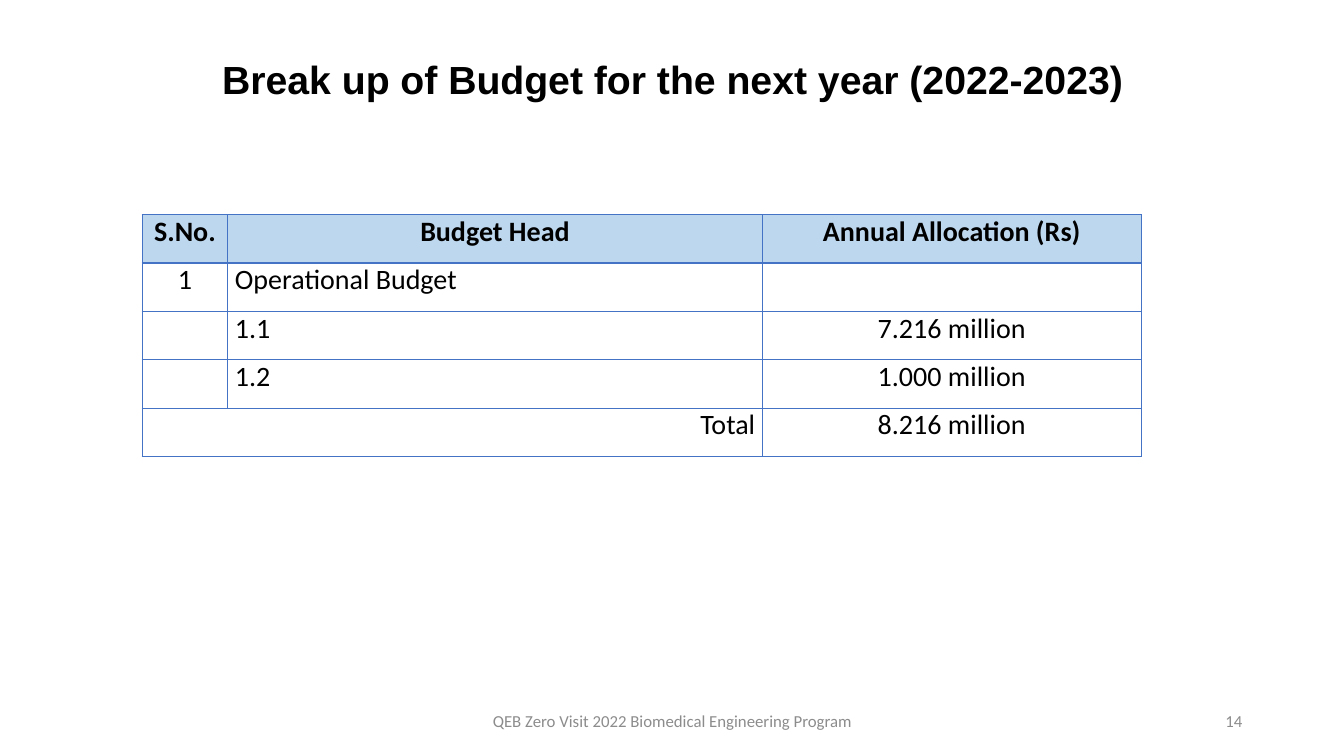
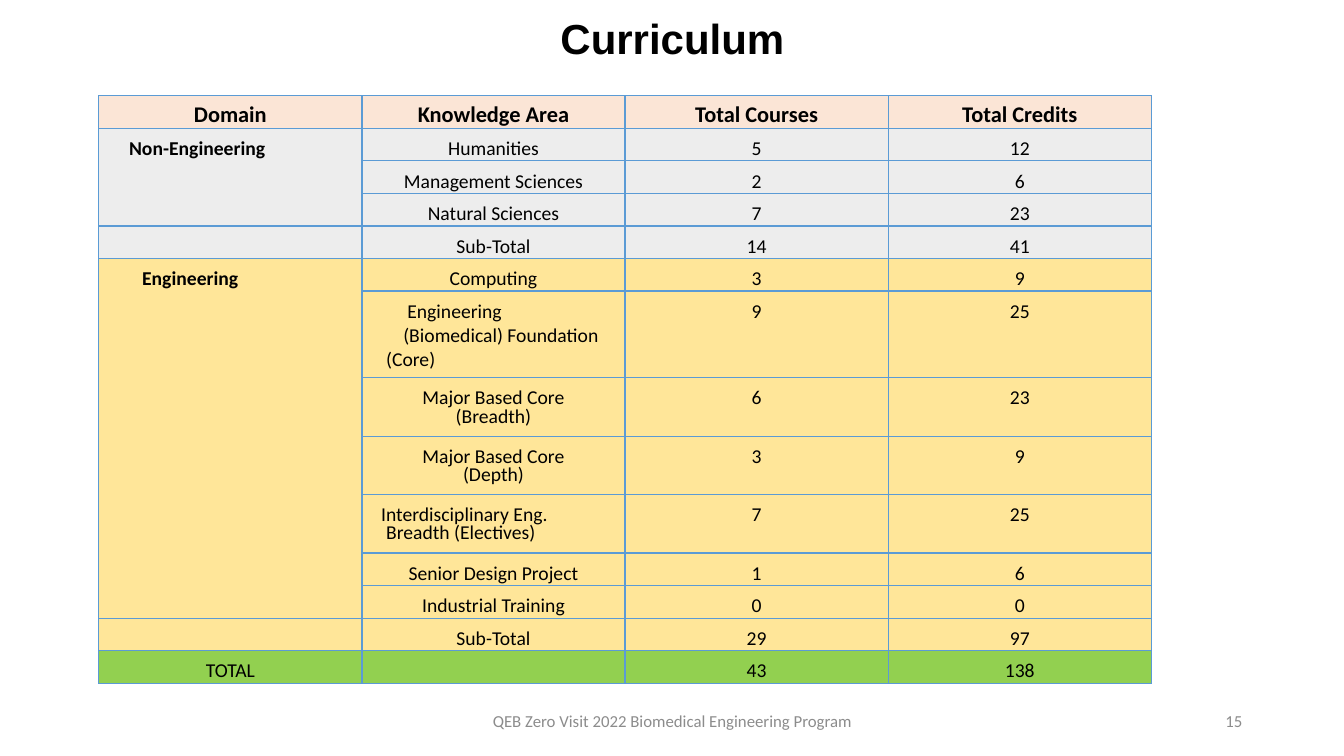
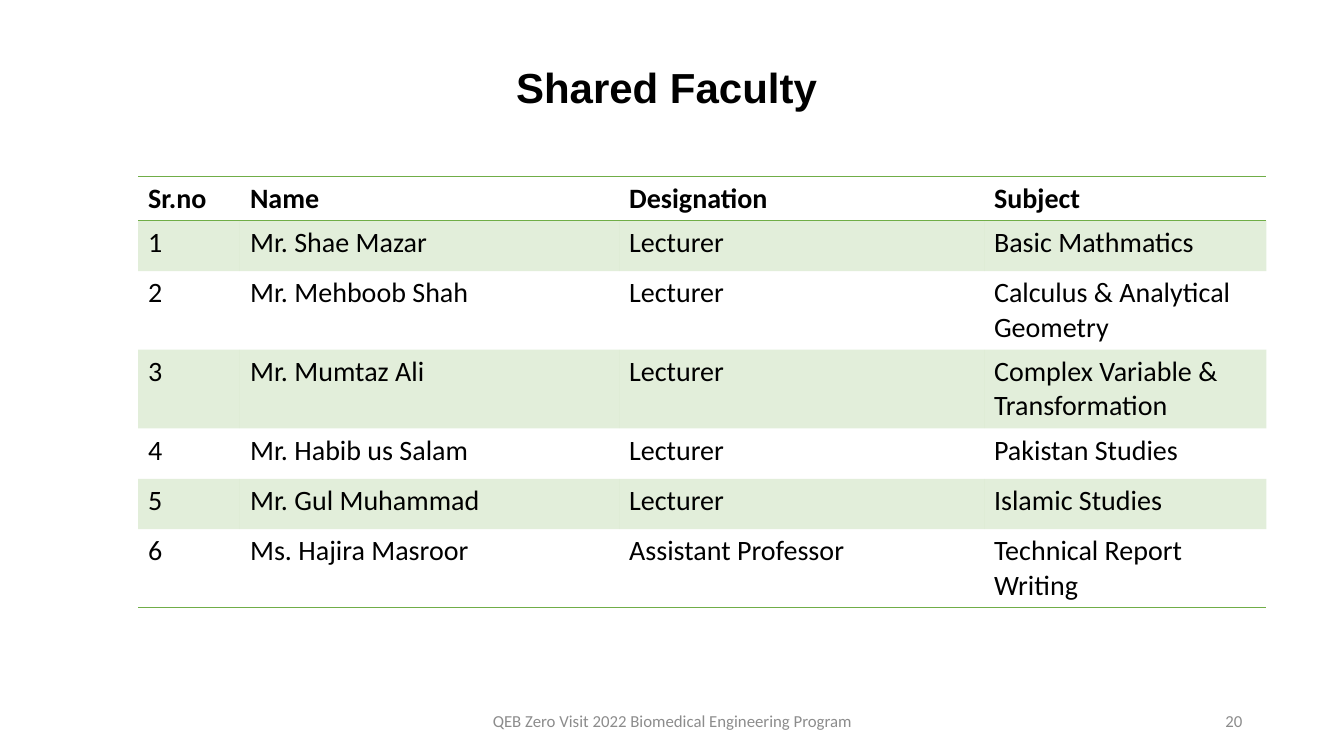
from lxml import etree
from pptx import Presentation
from pptx.dml.color import RGBColor
from pptx.enum.text import MSO_ANCHOR, PP_ALIGN
from pptx.oxml.ns import qn
from pptx.util import Inches, Pt

LEFT, MID, RIGHT = PP_ALIGN.LEFT, PP_ALIGN.CENTER, PP_ALIGN.RIGHT
CENTER = MSO_ANCHOR.MIDDLE
BLACK, GRAY = "000000", "8C8C8C"
BLUE, SKY, PALE = "4472C4", "5B9BD5", "BDD7EE"
PEACH, SILVER, GOLD, LIME = "FBE5D6", "EDEDED", "FFE699", "92D050"
GREEN = "70AD47"
LEAD = Pt(11.7)
FOOTER = "QEB Zero Visit 2022 Biomedical Engineering Program"


def paint(color):
    return RGBColor.from_string(color)


def write(frame, text, font="Calibri", size=20, color=BLACK, bold=False,
          align=LEFT, lead=None):
    for i, line in enumerate(text.split("\n")):
        par = frame.add_paragraph() if i else frame.paragraphs[0]
        par.alignment = align
        par.line_spacing = lead
        if line:
            run = par.add_run()
            run.text = line
            run.font.name = font
            run.font.size = Pt(size)
            run.font.bold = bold
            run.font.color.rgb = paint(color)


def shift(par, left, first=0):
    par.alignment = LEFT
    props = par._p.get_or_add_pPr()
    props.set("marL", str(Inches(left)))
    props.set("indent", str(Inches(first)))


def edge(cell, sides, color):
    props = cell._tc.get_or_add_tcPr()
    for side in "LRTB":
        line = etree.SubElement(props, qn(f"a:ln{side}"), w=str(Pt(1)))
        if side in sides:
            fill = etree.SubElement(line, qn("a:solidFill"))
            etree.SubElement(fill, qn("a:srgbClr"), val=color)
        else:
            etree.SubElement(line, qn("a:noFill"))


def flood(cell, color, alpha=100):
    if not color:
        cell.fill.background()
        return
    cell.fill.solid()
    cell.fill.fore_color.rgb = paint(color)
    if alpha < 100:
        tint = cell._tc.tcPr.find(qn("a:solidFill")).find(qn("a:srgbClr"))
        etree.SubElement(tint, qn("a:alpha"), val=str(alpha * 1000))


class Deck:
    def __init__(self):
        self.show = Presentation()
        self.show.slide_width = Inches(13.33)
        self.show.slide_height = Inches(7.5)

    def page(self, title, number, top, height, size=30):
        self.slide = self.show.slides.add_slide(self.show.slide_layouts[5])
        head = self.slide.shapes.title
        head.left, head.top = Inches(0.92), Inches(top)
        head.width, head.height = Inches(11.5), Inches(height)
        head.text_frame.vertical_anchor = CENTER
        write(head.text_frame, title, font="Arial", size=size, bold=True,
              align=MID, lead=0.9)
        self.note(9.42, 3, str(number), RIGHT)
        self.note(4.42, 4.5, FOOTER, MID)

    def note(self, left, width, text, align):
        box = self.slide.shapes.add_textbox(
            Inches(left), Inches(6.95), Inches(width), Inches(0.4))
        box.text_frame.word_wrap = True
        box.text_frame.vertical_anchor = CENTER
        write(box.text_frame, text, size=12, color=GRAY, align=align)

    def table(self, left, top, cols, highs, rows, fills, aligns, rule,
              grid=True, pads=(0.1, 0.05, 0.1, 0.05), sizes=(20, 20),
              lead=None, alpha=100):
        table = self.slide.shapes.add_table(
            len(rows), len(cols), Inches(left), Inches(top),
            Inches(sum(cols)), Inches(sum(highs))).table
        table.first_row = table.horz_banding = False
        for col, width in zip(table.columns, cols):
            col.width = Inches(width)
        for r, row in enumerate(rows):
            table.rows[r].height = Inches(highs[r])
            sides = "LRTB" if grid else (
                "T" * (r < 2) + "B" * (r in (0, len(rows) - 1)))
            for c, text in enumerate(row):
                cell = table.cell(r, c)
                (cell.margin_left, cell.margin_top, cell.margin_right,
                 cell.margin_bottom) = map(Inches, pads if text else [0] * 4)
                edge(cell, sides, rule)
                flood(cell, fills[r], alpha)
                align = MID if grid and r == 0 else aligns[c]
                write(cell.text_frame, text, size=sizes[r > 0], bold=r == 0,
                      align=align, lead=lead)
        return table


def budget(deck):
    deck.page("Break up of Budget for the next year (2022-2023)", 14,
              0.4, 0.82, size=28)
    rows = [
        ("S.No.", "Budget Head", "Annual Allocation (Rs)"),
        ("1", "Operational Budget", ""),
        ("", "1.1", "7.216 million"),
        ("", "1.2", "1.000 million"),
        ("Total", "", "8.216 million"),
    ]
    table = deck.table(1.41, 2.13, (0.85, 5.3, 3.76), [0.48] * 5, rows,
                       [PALE] + [None] * 4, (MID, LEFT, MID), BLUE,
                       pads=(0.07, 0, 0.07, 0))
    total = table.cell(4, 0)
    total.merge(table.cell(4, 1))
    total.text_frame.paragraphs[0].alignment = RIGHT


def courses(deck):
    deck.page("Curriculum", 15, 0.2, 0.42)
    rows = [
        ("Domain", "Knowledge Area", "Total Courses", "Total Credits"),
        ("Non-Engineering", "Humanities", "5", "12"),
        ("", "Management Sciences", "2", "6"),
        ("", "Natural Sciences", "7", "23"),
        ("", "Sub-Total", "14", "41"),
        ("Engineering", "Computing", "3", "9"),
        ("", "Engineering\n(Biomedical) Foundation (Core)", "9", "25"),
        ("", "Major Based Core\n(Breadth)", "6", "23"),
        ("", "Major Based Core\n(Depth)", "3", "9"),
        ("", "Interdisciplinary Eng.\nBreadth (Electives)", "7", "25"),
        ("", "Senior Design Project", "1", "6"),
        ("", "Industrial Training", "0", "0"),
        ("", "Sub-Total", "29", "97"),
        ("TOTAL", "", "43", "138"),
    ]
    highs = [0.32] * 6 + [0.86] + [0.58] * 3 + [0.32] * 4
    fills = [PEACH] + [SILVER] * 4 + [GOLD] * 8 + [LIME]
    table = deck.table(0.98, 0.95, [2.61] * 4, highs, rows, fills, [MID] * 4,
                       SKY, pads=(0, 0.16, 0, 0), sizes=(16, 14), lead=LEAD)
    for first, last, left in ((1, 3, 0.3), (5, 11, 0.43)):
        cell = table.cell(first, 0)
        cell.merge(table.cell(last, 0))
        par = cell.text_frame.paragraphs[0]
        par.runs[0].font.bold = True
        shift(par, left)
    for r in (7, 8, 9):
        table.cell(r, 1).text_frame.paragraphs[1].line_spacing = Pt(12.9)
    core, wide = table.cell(6, 1).text_frame.paragraphs
    shift(core, 0.45)
    shift(wide, 0.24, 0.17)
    wide.line_spacing = 1.0
    upper, lower = table.cell(9, 1).text_frame.paragraphs
    shift(upper, 0.19)
    shift(lower, 0.24)


def staff(deck):
    deck.page("Shared Faculty ", 20, 0.4, 0.98)
    rows = [
        ("Sr.no", "Name", "Designation", "Subject"),
        ("1", "Mr. Shae Mazar", "Lecturer", "Basic Mathmatics"),
        ("2", "Mr. Mehboob Shah", "Lecturer",
         "Calculus & Analytical Geometry"),
        ("3", "Mr. Mumtaz Ali", "Lecturer",
         "Complex Variable & Transformation"),
        ("4", "Mr. Habib us Salam", "Lecturer", "Pakistan Studies"),
        ("5", "Mr. Gul Muhammad", "Lecturer", "Islamic Studies"),
        ("6", "Ms. Hajira Masroor", "Assistant Professor",
         "Technical Report Writing"),
    ]
    fills = [GREEN if r % 2 else None for r in range(len(rows))]
    deck.table(1.37, 1.75, (1.01, 3.76, 3.62, 2.8),
               (0.44, 0.5, 0.78, 0.78, 0.5, 0.5, 0.78), rows, fills,
               [LEFT] * 4, GREEN, grid=False, alpha=20)


def main():
    deck = Deck()
    budget(deck)
    courses(deck)
    staff(deck)
    deck.show.save("out.pptx")


if __name__ == "__main__":
    main()
